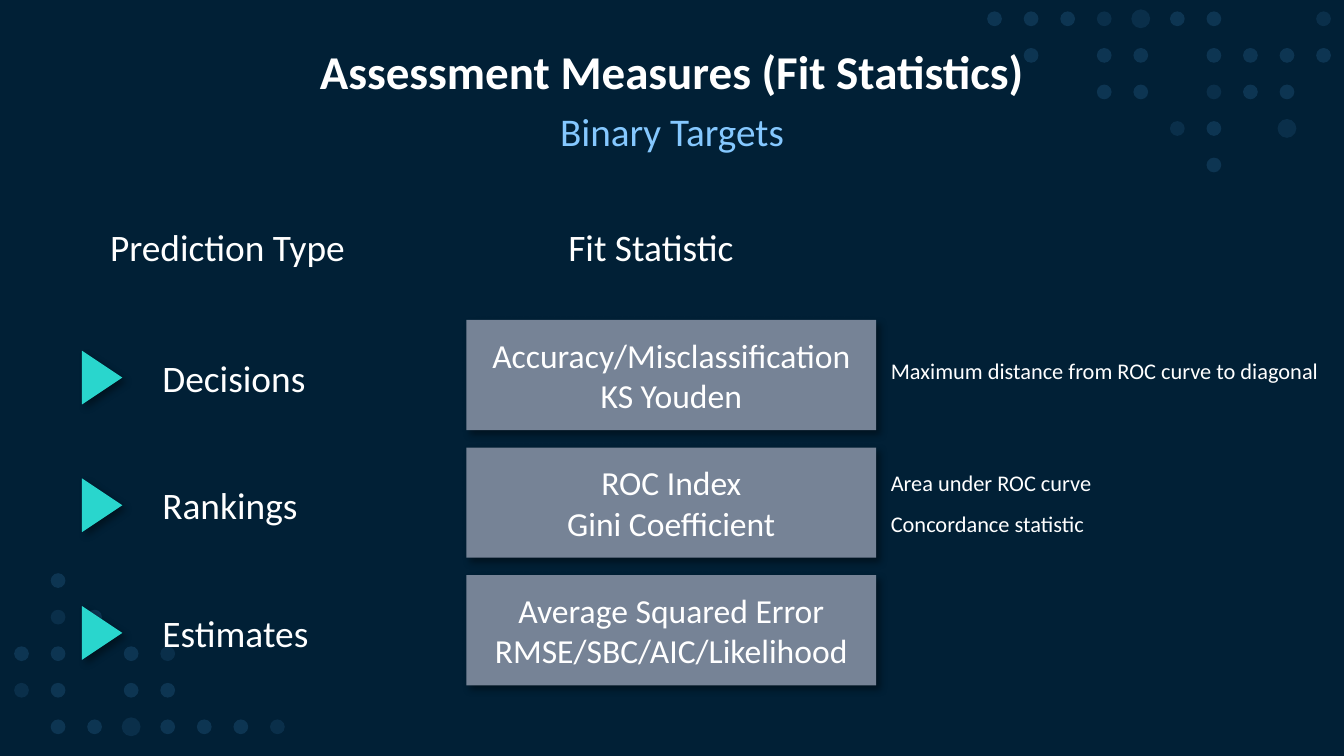
import pptx
import pptx.util
import pptx.dml.color
import pptx.enum.shapes
import pptx.enum.text
import pptx.oxml
import pptx.oxml.ns
from lxml import etree

Inches = pptx.util.Inches
Pt = pptx.util.Pt
SHAPE = pptx.enum.shapes.MSO_SHAPE
ALIGN = pptx.enum.text.PP_ALIGN
ANCHOR = pptx.enum.text.MSO_ANCHOR

FONT = "Calibri"
WHITE, NAVY, SKY, DOT = "FFFFFF", "012036", "85C8FF", "5CB5FF"
TEAL, SLATE = "29D6CD", "768396"

TITLE = "Assessment Measures (Fit Statistics)"
SUBTITLE = "Binary Targets"
HEADINGS = [("Prediction Type", 0.72, 2.01), ("Fit Statistic", 4.13, 1.48)]
ROWS = [
    ("Decisions", ["Accuracy/Misclassification", "KS Youden"]),
    ("Rankings", ["ROC Index", "Gini Coefficient"]),
    ("Estimates", ["Average Squared Error", "RMSE/SBC/AIC/Likelihood"]),
]
NOTES = [
    ("Maximum distance from ROC curve to diagonal", 2.61),
    ("Area under ROC curve", 3.44),
    ("Concordance statistic", 3.75),
]
DOT_GRIDS = [
    (7.4, 0.14, ["ooo.Ooo--.", "-o-oo-oooo", "---oo-.oo", "-----.o-O", "------o"]),
    (0.16, 4.32, ["-o", "-.o", "oo-o.", ".o-oo", "-ooOooo."]),
]
DOT_STYLES = {"o": (0.11, 14), ".": (0.11, 10), "O": (0.14, 10)}
DOT_PITCH = 0.272
ROW_TOP, ROW_PITCH, BOX_HEIGHT = 2.38, 0.95, 0.82


def rgb(value):
    return pptx.dml.color.RGBColor.from_string(value)


def write(tf, lines, size, color=WHITE, align=ALIGN.LEFT, bold=False):
    for i, line in enumerate(lines):
        p = tf.paragraphs[0] if i == 0 else tf.add_paragraph()
        p.alignment = align
        r = p.add_run()
        r.text = line
        r.font.name = FONT
        r.font.size = Pt(size)
        r.font.bold = bold
        r.font.color.rgb = rgb(color)


def add_text(slide, text, x, y, w, h, size, **style):
    tf = slide.shapes.add_textbox(Inches(x), Inches(y), Inches(w), Inches(h)).text_frame
    tf.word_wrap = True
    write(tf, [text], size, **style)
    return tf


def add_shape(slide, kind, x, y, w, h, color):
    sp = slide.shapes.add_shape(kind, Inches(x), Inches(y), Inches(w), Inches(h))
    sp.shadow.inherit = False
    sp.fill.solid()
    sp.fill.fore_color.rgb = rgb(color)
    sp.line.fill.background()
    return sp


def set_alpha(sp, percent):
    clr = sp._element.spPr.find(".//" + pptx.oxml.ns.qn("a:srgbClr"))
    etree.SubElement(clr, pptx.oxml.ns.qn("a:alpha"), val=str(percent * 1000))


def add_shadow(sp):
    effects = sp._element.spPr.find(pptx.oxml.ns.qn("a:effectLst"))
    effects.append(pptx.oxml.parse_xml(
        f'<a:outerShdw {pptx.oxml.ns.nsdecls("a")} blurRad="{Pt(4)}" dist="{Pt(3)}" '
        'dir="2700000" algn="tl" rotWithShape="0">'
        '<a:srgbClr val="000000"><a:alpha val="40000"/></a:srgbClr></a:outerShdw>'))


def add_dots(slide):
    for left, top, grid in DOT_GRIDS:
        for row, marks in enumerate(grid):
            for col, mark in enumerate(marks):
                if mark in DOT_STYLES:
                    d, alpha = DOT_STYLES[mark]
                    x = left + col * DOT_PITCH - d / 2
                    y = top + row * DOT_PITCH - d / 2
                    set_alpha(add_shape(slide, SHAPE.OVAL, x, y, d, d, DOT), alpha)


def add_titles(slide):
    title = slide.shapes.title
    title.left, title.top = Inches(0.69), Inches(0.3)
    title.width, title.height = Inches(8.62), Inches(0.5)
    tf = title.text_frame
    tf.vertical_anchor = ANCHOR.MIDDLE
    write(tf, [TITLE], 25.2, align=ALIGN.CENTER, bold=True)
    tf.paragraphs[0].line_spacing = 0.9
    tf = add_text(slide, SUBTITLE, 0.69, 0.8, 8.62, 0.5, 21, color=SKY, align=ALIGN.CENTER)
    tf.paragraphs[0].line_spacing = 0.85
    tf.paragraphs[0].space_before = Pt(8)


def add_rows(slide):
    for i, (label, statistics) in enumerate(ROWS):
        y = ROW_TOP + i * ROW_PITCH
        arrow = add_shape(slide, SHAPE.ISOSCELES_TRIANGLE, 0.56, y + 0.28, 0.4, 0.3, TEAL)
        arrow.rotation = 90
        add_shadow(arrow)
        add_text(slide, label, 1.11, y + 0.21, 1.3, 0.44, 20)
        box = add_shape(slide, SHAPE.RECTANGLE, 3.47, y, 3.05, BOX_HEIGHT, SLATE)
        add_shadow(box)
        tf = box.text_frame
        tf.word_wrap = False
        tf.vertical_anchor = ANCHOR.MIDDLE
        write(tf, statistics, 18, align=ALIGN.CENTER)


def main():
    prs = pptx.Presentation()
    prs.slide_width = Inches(10)
    prs.slide_height = prs.slide_width * 9 // 16
    slide = prs.slides.add_slide(prs.slide_layouts[5])
    slide.background.fill.solid()
    slide.background.fill.fore_color.rgb = rgb(NAVY)
    add_dots(slide)
    add_titles(slide)
    add_rows(slide)
    for text, x, w in HEADINGS:
        tf = add_text(slide, text, x, 1.62, w, 0.44, 20)
        tf.word_wrap = False
    for text, y in NOTES:
        add_text(slide, text, 6.53, y, 3.47, 0.3, 12)
    prs.save("out.pptx")


if __name__ == "__main__":
    main()
